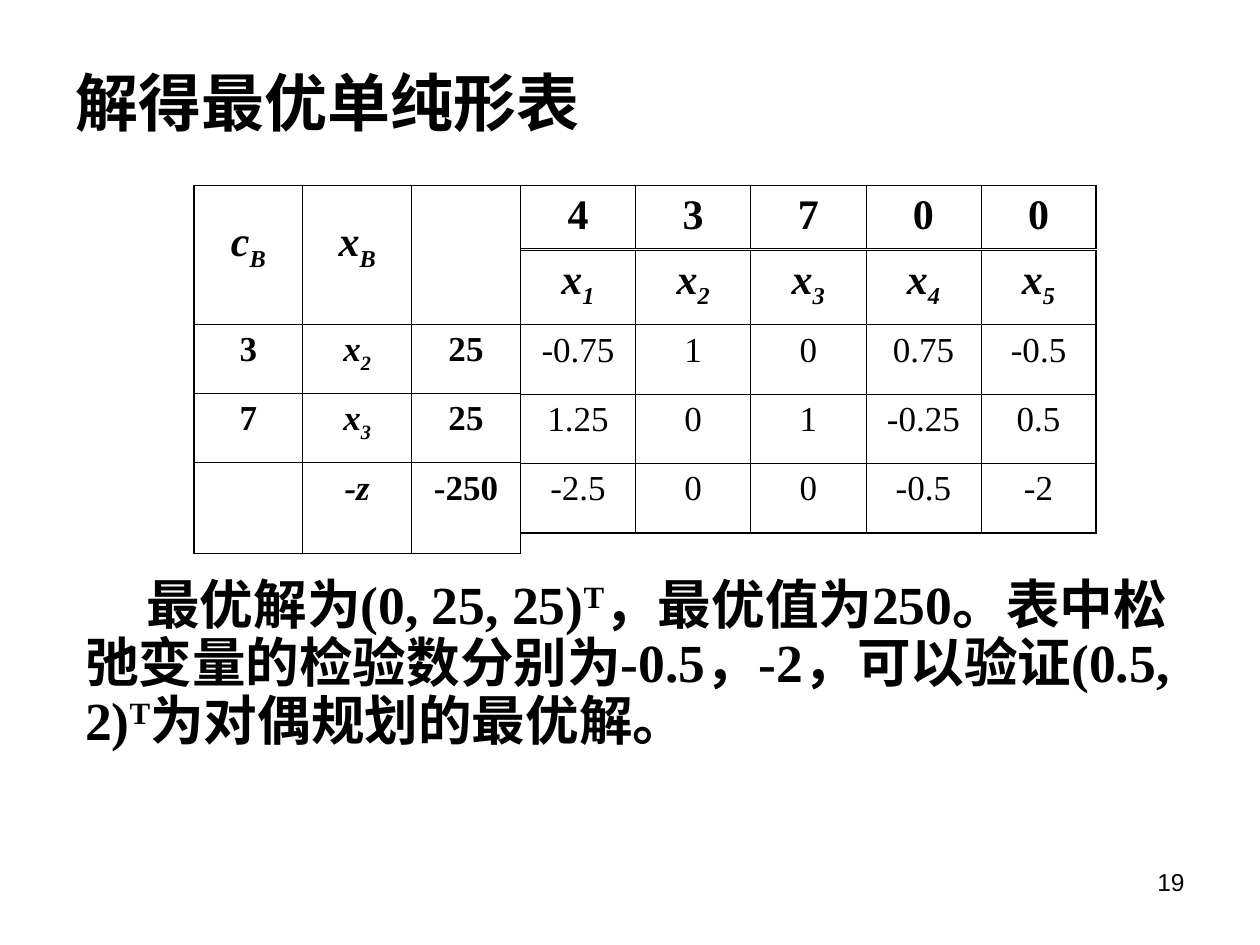
from lxml import etree
from pptx import Presentation
from pptx.dml.color import RGBColor
from pptx.enum.text import MSO_ANCHOR, MSO_AUTO_SIZE, PP_ALIGN
from pptx.oxml.ns import qn
from pptx.util import Pt

LEFT, CENTER, RIGHT = PP_ALIGN.LEFT, PP_ALIGN.CENTER, PP_ALIGN.RIGHT
MIDDLE, TOP = MSO_ANCHOR.MIDDLE, MSO_ANCHOR.TOP
NO_FIT = MSO_AUTO_SIZE.NONE

THEME = {
    "ink": "000000", "cjk": "Noto Sans CJK SC", "serif": "Times New Roman", "sans": "Arial",
    "title": 36, "body": 30.6, "head": 24, "cell": 20, "number": 14,
    "outer": 1.08, "inner": 0.45, "superscript": 30, "subscript": -25,
}

TITLE = "解得最优单纯形表"
CONCLUSION = ("最优解为(0, 25, 25)|T|，最优值为250。表中松弛变量的检验数分别为-0.5，-2，"
              "可以验证(0.5, 2)|T|为对偶规划的最优解。")
PAGE_NUMBER = "19"
COSTS = [["4", "3", "7", "0", "0"]]
COEFFICIENTS = [
    ["x|1", "x|2", "x|3", "x|4", "x|5"],
    ["-0.75", "1", "0", "0.75", "-0.5"],
    ["1.25", "0", "1", "-0.25", "0.5"],
    ["-2.5", "0", "0", "-0.5", "-2"],
]
BASIS = [
    ["c|B", "x|B", ""],
    ["3", "x|2", "25"],
    ["7", "x|3", "25"],
    ["", "-z", "-250"],
]

SPLIT_X, TABLE_TOP = 297.4, 106
COST_HEIGHT, ROW_HEIGHT = 36, 39.6
COEFFICIENT_WIDTH, BASIS_WIDTH = 65.8, 62.2


def write(paragraph, text, size, font="serif", bold=False, italic=False,
          align=LEFT, shift="subscript"):
    paragraph.alignment = align
    for index, piece in enumerate(text.split("|")):
        run = paragraph.add_run()
        run.text = piece
        run.font.size = Pt(THEME[size])
        run.font.name = THEME[font]
        run.font.bold = bold
        run.font.italic = italic
        run.font.color.rgb = RGBColor.from_string(THEME["ink"])
        properties = run._r.get_or_add_rPr()
        etree.SubElement(properties, qn("a:ea"), typeface=THEME["cjk"])
        if index % 2:
            properties.set("baseline", str(THEME[shift] * 1000))


def draw_border(cell, edge, width):
    line = etree.SubElement(cell._tc.get_or_add_tcPr(), qn("a:" + edge), w=str(Pt(width)))
    fill = etree.SubElement(line, qn("a:solidFill"))
    etree.SubElement(fill, qn("a:srgbClr"), val=THEME["ink"])


def add_grid(slide, rows, left, top, column_width, heights, bold_rows, head_inset=3.6):
    row_count, column_count = len(rows), len(rows[0])
    grid = slide.shapes.add_table(row_count, column_count, Pt(left), Pt(top),
                                  Pt(column_width * column_count), Pt(sum(heights))).table
    grid.first_row = grid.horz_banding = False
    for column in grid.columns:
        column.width = Pt(column_width)
    for r, entries in enumerate(rows):
        grid.rows[r].height = Pt(heights[r])
        for c, entry in enumerate(entries):
            cell = grid.cell(r, c)
            cell.margin_top = Pt(head_inset if r == 0 else 3.6)
            cell.vertical_anchor = TOP
            if entry:
                write(cell.text_frame.paragraphs[0], entry, "cell" if r else "head",
                      bold=r in bold_rows, italic=entry.lstrip("-")[0].isalpha(), align=CENTER)
            on_outline = {"lnL": c == 0, "lnR": c == column_count - 1,
                          "lnT": r == 0, "lnB": r == row_count - 1}
            for edge, is_outer in on_outline.items():
                draw_border(cell, edge, THEME["outer" if is_outer else "inner"])
            cell.fill.background()


def place(shape, left, top, width, height):
    shape.left, shape.top, shape.width, shape.height = map(Pt, (left, top, width, height))
    frame = shape.text_frame
    frame.word_wrap = True
    frame.auto_size = NO_FIT
    return frame


def main():
    deck = Presentation()
    deck.slide_width, deck.slide_height = Pt(720), Pt(540)
    slide = deck.slides.add_slide(deck.slide_layouts[1])

    number = place(slide.shapes.add_textbox(0, 0, 0, 0), 516, 492, 168, 37.4)
    write(number.paragraphs[0], PAGE_NUMBER, "number", font="sans", align=RIGHT)

    title = place(slide.shapes.title, 36, 21.6, 648, 72.7)
    title.vertical_anchor = MIDDLE
    write(title.paragraphs[0], TITLE, "title", font="cjk", bold=True)

    conclusion = place(slide.placeholders[1], 14.4, 326.9, 680.4, 141.8).paragraphs[0]
    layout = conclusion._p.get_or_add_pPr()
    layout.set("marL", str(Pt(27)))
    layout.set("indent", str(Pt(35)))
    etree.SubElement(layout, qn("a:buNone"))
    conclusion.line_spacing = 0.9
    conclusion.space_before = Pt(0)
    write(conclusion, CONCLUSION, "body", bold=True, shift="superscript")

    add_grid(slide, COEFFICIENTS, SPLIT_X, TABLE_TOP + 37.2, COEFFICIENT_WIDTH,
             [42.4] + [ROW_HEIGHT] * 3, bold_rows={0})
    add_grid(slide, BASIS, SPLIT_X - 3 * BASIS_WIDTH, TABLE_TOP, BASIS_WIDTH,
             [79.2, ROW_HEIGHT, ROW_HEIGHT, 52], bold_rows=range(4), head_inset=19.5)
    add_grid(slide, COSTS, SPLIT_X, TABLE_TOP, COEFFICIENT_WIDTH, [COST_HEIGHT], bold_rows={0})

    deck.save("out.pptx")


if __name__ == "__main__":
    main()
